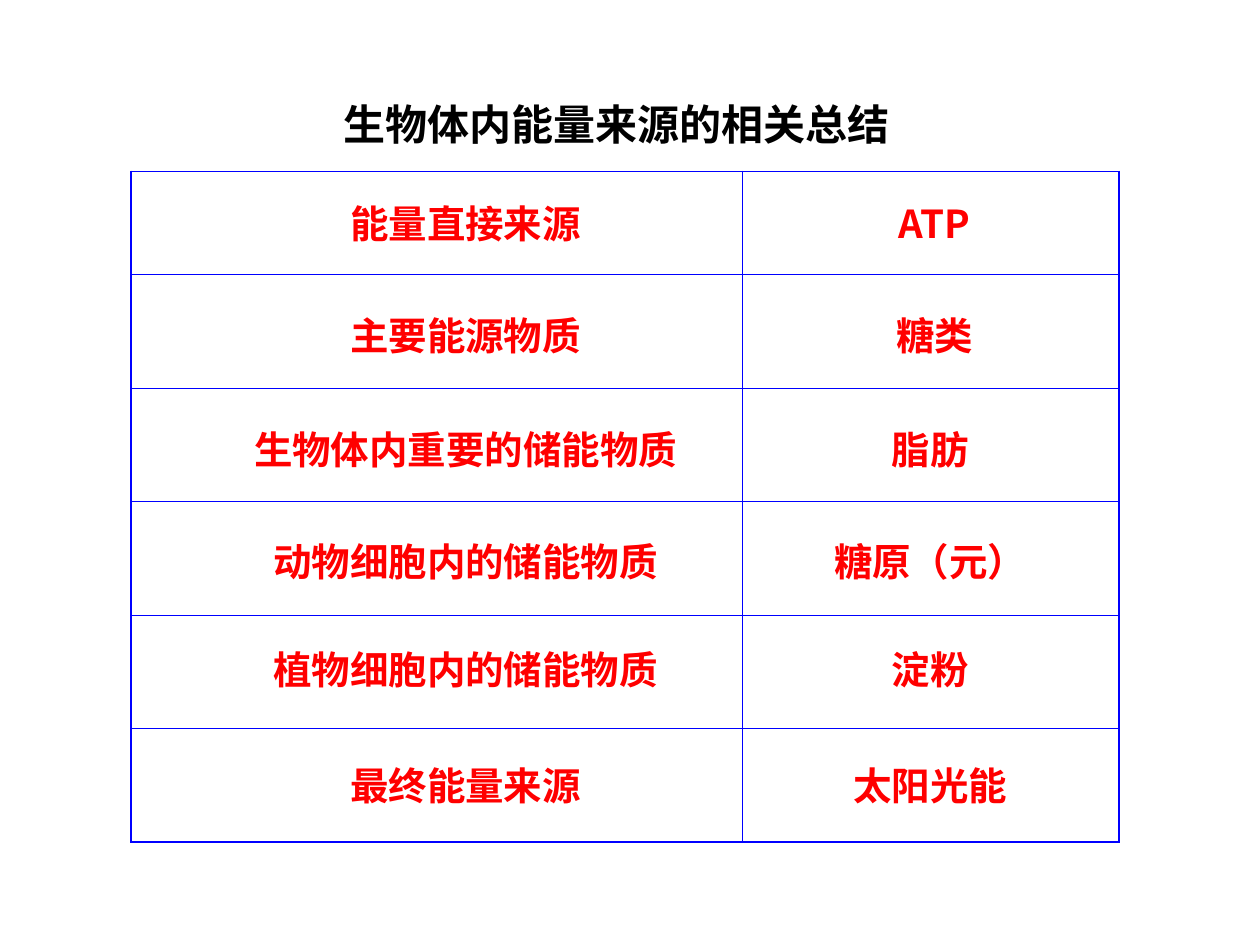
from dataclasses import dataclass

from lxml.etree import SubElement
from pptx import Presentation
from pptx.dml.color import RGBColor
from pptx.enum.text import MSO_ANCHOR, MSO_AUTO_SIZE, PP_ALIGN
from pptx.oxml.ns import qn
from pptx.util import Pt


@dataclass(frozen=True)
class Theme:
    font: str = "Noto Sans CJK SC"
    title_size: int = 24
    body_size: int = 22
    title_color: str = "000000"
    body_color: str = "FF0000"
    border_color: str = "0000FF"
    outer_border: float = 1.08
    inner_border: float = 0.45


theme = Theme()


def write_text(shape, text, size, color, wrap):
    """Fill a shape with one centred bold run in the theme font."""
    frame = shape.text_frame
    frame.word_wrap = wrap
    frame.auto_size = MSO_AUTO_SIZE.SHAPE_TO_FIT_TEXT
    frame.vertical_anchor = MSO_ANCHOR.TOP
    paragraph = frame.paragraphs[0]
    paragraph.alignment = PP_ALIGN.CENTER
    paragraph.space_before = Pt(0)
    run = paragraph.add_run()
    run.text = text
    run.font.size = Pt(size)
    run.font.bold = True
    run.font.color.rgb = RGBColor.from_string(color)
    run.font.name = theme.font
    SubElement(run.font._element, qn("a:ea"), typeface=theme.font)


def set_border(cell, side, width):
    properties = cell._tc.get_or_add_tcPr()
    line = SubElement(properties, qn(f"a:ln{side}"), w=str(int(Pt(width))))
    fill = SubElement(line, qn("a:solidFill"))
    SubElement(fill, qn("a:srgbClr"), val=theme.border_color)


presentation = Presentation()
presentation.slide_width = Pt(720)
presentation.slide_height = Pt(540)
slide = presentation.slides.add_slide(presentation.slide_layouts[5])

title = slide.shapes.title
title.left, title.top, title.width, title.height = Pt(117.4), Pt(52.6), Pt(470), Pt(36)
write_text(title, "生物体内能量来源的相关总结", theme.title_size, theme.title_color, True)

# Text top, energy role, its answer, centre of the answer
energy_sources = [
    (110.9, "能量直接来源", "ATP", 534),
    (175, "主要能源物质", "糖类", 534),
    (239.8, "生物体内重要的储能物质", "脂肪", 531.5),
    (303.8, "动物细胞内的储能物质", "糖原（元）", 531.5),
    (365.8, "植物细胞内的储能物质", "淀粉", 531.5),
    (432, "最终能量来源", "太阳光能", 531.5),
]
role_center = 266

column_widths = [349.2, 215.3]
row_heights = [59] + [64.8] * 5
last_row, last_column = len(row_heights) - 1, len(column_widths) - 1
table = slide.shapes.add_table(
    len(row_heights), len(column_widths), Pt(74.9), Pt(98),
    Pt(sum(column_widths)), Pt(sum(row_heights)),
).table
table.first_row = False
table.horz_banding = False
for column, width in zip(table.columns, column_widths):
    column.width = Pt(width)
for row_index, height in enumerate(row_heights):
    table.rows[row_index].height = Pt(height)
    for column_index in range(len(column_widths)):
        cell = table.cell(row_index, column_index)
        outer_sides = {
            "L": column_index == 0,
            "R": column_index == last_column,
            "T": row_index == 0,
            "B": row_index == last_row,
        }
        for side, is_outer in outer_sides.items():
            set_border(cell, side, theme.outer_border if is_outer else theme.inner_border)
        cell.fill.background()

box_height = 34
side_insets = 14.4
latin_width = 14
for top, role, answer, answer_center in energy_sources:
    for text, center in ((role, role_center), (answer, answer_center)):
        width = side_insets + sum(
            latin_width if letter.isascii() else theme.body_size for letter in text
        )
        label = slide.shapes.add_textbox(
            Pt(center - width / 2), Pt(top), Pt(width), Pt(box_height)
        )
        write_text(label, text, theme.body_size, theme.body_color, False)

presentation.save("out.pptx")
